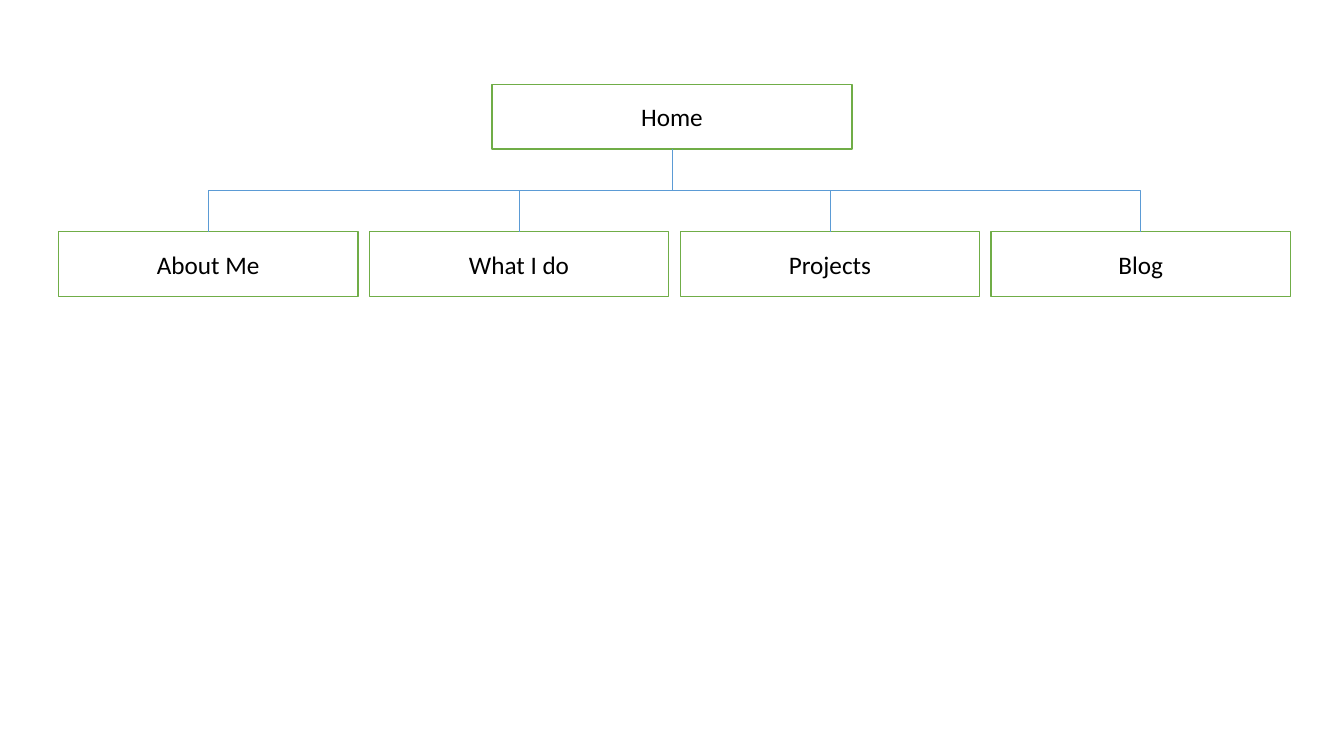
import dataclasses

import pptx
import pptx.dml.color
import pptx.enum.shapes
import pptx.enum.text
import pptx.oxml.ns
import pptx.util
from lxml import etree
from pptx.util import Inches


@dataclasses.dataclass(frozen=True)
class Theme:
    box_fill = pptx.dml.color.RGBColor.from_string("FFFFFF")
    box_line = pptx.dml.color.RGBColor.from_string("70AD47")
    branch = pptx.dml.color.RGBColor.from_string("5B9BD5")
    text = pptx.dml.color.RGBColor.from_string("000000")
    font = "Calibri"
    text_size = pptx.util.Pt(18)
    box_weight = pptx.util.Pt(1)
    branch_weight = pptx.util.Pt(0.5)


theme = Theme()
BOX_HEIGHT = 0.64
BOTTOM_SITE, TOP_SITE = 2, 0

prs = pptx.Presentation()
prs.slide_width, prs.slide_height = Inches(13.33), Inches(7.5)
slide = prs.slides.add_slide(prs.slide_layouts[6])


def add_page(name, left, top, width):
    page = slide.shapes.add_shape(
        pptx.enum.shapes.MSO_SHAPE.RECTANGLE,
        Inches(left), Inches(top), Inches(width), Inches(BOX_HEIGHT))
    page.shadow.inherit = False
    page.fill.solid()
    page.fill.fore_color.rgb = theme.box_fill
    page.line.color.rgb = theme.box_line
    page.line.width = theme.box_weight
    page.text_frame.vertical_anchor = pptx.enum.text.MSO_ANCHOR.MIDDLE
    label = page.text_frame.paragraphs[0]
    label.text = name
    label.alignment = pptx.enum.text.PP_ALIGN.CENTER
    label.font.name = theme.font
    label.font.size = theme.text_size
    label.font.color.rgb = theme.text
    return page


def add_branch(child, parent):
    """Elbow from the top of child to the bottom of parent, turned to run vertically first."""
    child_x = child.left + child.width // 2
    parent_x = parent.left + parent.width // 2
    parent_y = parent.top + parent.height
    middle_x, middle_y = (child_x + parent_x) // 2, (child.top + parent_y) // 2
    half_drop = (child.top - parent_y) // 2
    half_span = abs(parent_x - child_x) // 2
    side = 1 if child_x < parent_x else -1

    branch = slide.shapes.add_connector(
        pptx.enum.shapes.MSO_CONNECTOR.ELBOW, child_x, child.top, parent_x, parent_y)
    branch.begin_connect(child, TOP_SITE)
    branch.end_connect(parent, BOTTOM_SITE)
    # Ends as they lie before the quarter turn
    branch.begin_x, branch.begin_y = middle_x + side * half_drop, middle_y + half_span
    branch.end_x, branch.end_y = middle_x - side * half_drop, middle_y - half_span
    quarter_turn = 90 if side == 1 else 270
    branch._element.spPr.xfrm.set("rot", str(quarter_turn * 60000))
    branch.line.color.rgb = theme.branch
    branch.line.width = theme.branch_weight
    etree.SubElement(branch._element.spPr, pptx.oxml.ns.qn("a:effectLst"))


# Top page
home = add_page("Home", 4.88, 0.84, 3.57)

# Second level, evenly spaced, each joined to the top page
FIRST_LEFT, LAST_LEFT = 0.58, 9.83
sections = ["About Me", "What I do", "Projects", "Blog"]
pitch = (LAST_LEFT - FIRST_LEFT) / (len(sections) - 1)
for column, name in enumerate(sections):
    section = add_page(name, FIRST_LEFT + column * pitch, 2.3, 2.97)
    add_branch(section, home)

prs.save("out.pptx")
